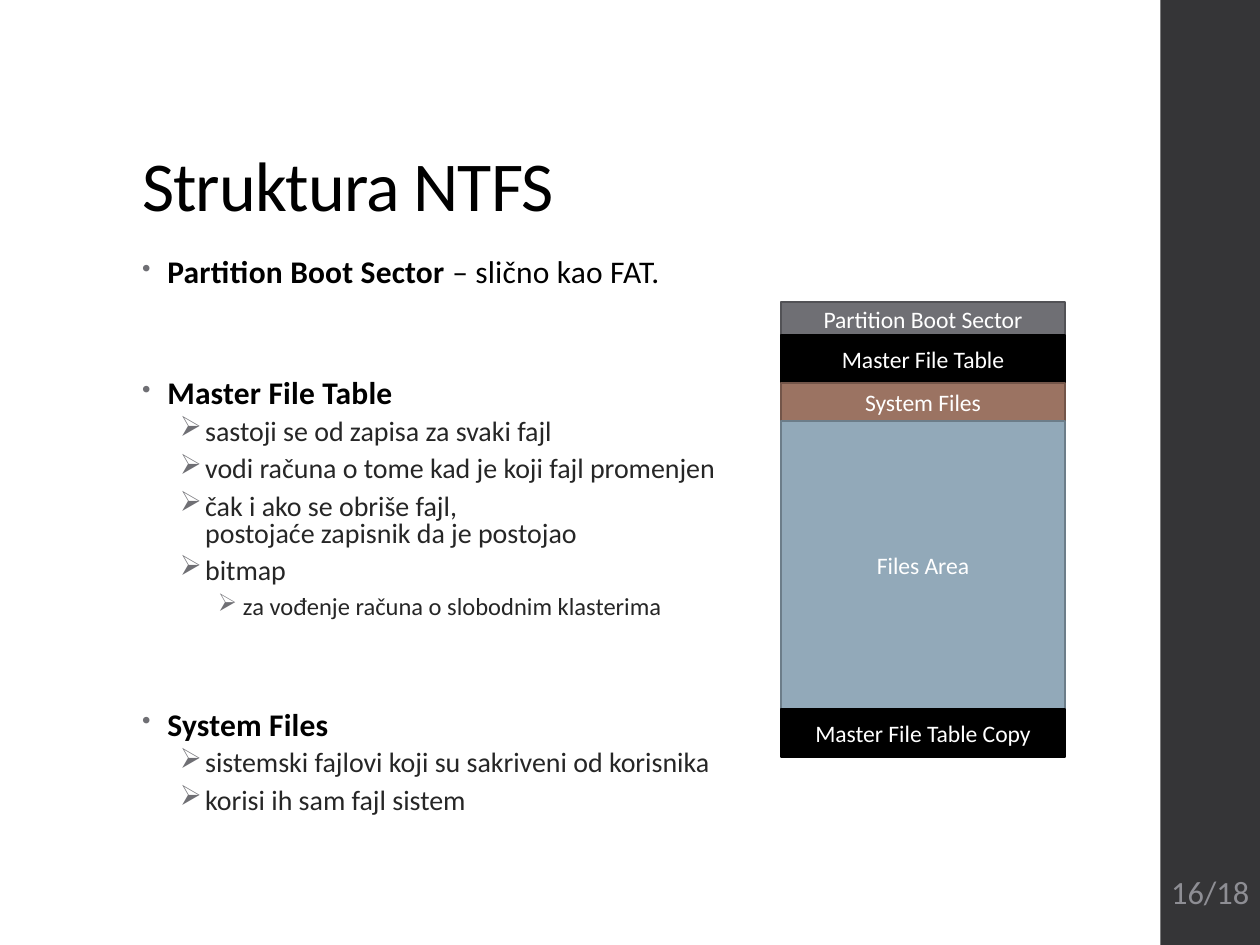
from lxml.etree import SubElement
from pptx import Presentation
from pptx.dml.color import RGBColor
from pptx.enum.shapes import MSO_SHAPE
from pptx.enum.text import MSO_ANCHOR, PP_ALIGN
from pptx.oxml.ns import qn
from pptx.util import Inches, Pt

FONT = "Calibri"
BLACK = RGBColor(0x00, 0x00, 0x00)
WHITE = RGBColor(0xFF, 0xFF, 0xFF)
DARK = RGBColor(0x26, 0x26, 0x26)
SIDEBAR = RGBColor(0x35, 0x35, 0x37)
GRAY = RGBColor(0x6F, 0x6F, 0x74)
GRAY_EDGE = RGBColor(0x52, 0x52, 0x56)
PALE = RGBColor(0x8E, 0x8E, 0x94)
BROWN = RGBColor(0x9B, 0x73, 0x62)
BROWN_EDGE = RGBColor(0x73, 0x55, 0x49)
BLUE = RGBColor(0x92, 0xA9, 0xB9)
BLUE_EDGE = RGBColor(0x6C, 0x7D, 0x89)

COLUMNS, ROWS = 100, 75

# Per outline level: text indent, size, colour, line spacing, space before/after, bullet, bullet %
LEVELS = [
    dict(indent=0.2, size=18, color=BLACK, line=0.85, before=14, after=2, bullet="•", scale=80, spacing=0.1),
    dict(indent=0.5, size=16, color=DARK, line=0.8, before=3, after=3, bullet="➢", scale=100, spacing=0),
    dict(indent=0.8, size=14, color=DARK, line=0.8, before=3, after=3, bullet="➢", scale=100, spacing=0),
]
HANGING = 0.2
SECTION_GAP = 48.7

# Level, bold text, regular text, space before when it differs from the level's
OUTLINE = [
    (0, "Partition Boot Sector ", "– slično kao FAT.", None),
    (0, "Master File Table", "", SECTION_GAP),
    (1, "", "sastoji se od zapisa za svaki fajl", None),
    (1, "", "vodi računa o tome kad je koji fajl promenjen", None),
    (1, "", "čak i ako se obriše fajl, \npostojaće zapisnik da je postojao", None),
    (1, "", "bitmap", None),
    (2, "", "za vođenje računa o slobodnim klasterima", None),
    (0, "System Files", "", SECTION_GAP),
    (1, "", "sistemski fajlovi koji su sakriveni od korisnika", None),
    (1, "", "korisi ih sam fajl sistem", None),
]

# Label, height in rows, fill, edge
VOLUME_PARTS = [
    ("Partition Boot Sector", 2.6, GRAY, GRAY_EDGE),
    ("Master File Table", 3.8, BLACK, BLACK),
    ("System Files", 3, BROWN, BROWN_EDGE),
    ("Files Area", 22.9, BLUE, BLUE_EDGE),
    ("Master File Table Copy", 3.8, BLACK, BLACK),
]


def write(para, text, size=18, color=BLACK, bold=False, spacing=0):
    """Add text to a paragraph; a newline becomes a line break."""
    for number, line in enumerate(text.split("\n")):
        if number:
            para.add_line_break()
        span = para.add_run()
        span.text = line
        span.font.name = FONT
        span.font.size = Pt(size)
        span.font.bold = bold
        span.font.color.rgb = color
        if spacing:
            span.font._element.set("spc", str(round(spacing * 100)))


class SlideBuilder:
    def __init__(self, deck):
        self.column = deck.slide_width / COLUMNS
        self.row = deck.slide_height / ROWS
        self.page = deck.slides.add_slide(deck.slide_layouts[6])
        background = self.page.background.fill
        background.solid()
        background.fore_color.rgb = WHITE

    def place(self, left, top, width, height):
        return (round(left * self.column), round(top * self.row),
                round(width * self.column), round(height * self.row))

    def text_box(self, *area, anchor=MSO_ANCHOR.TOP):
        frame = self.page.shapes.add_textbox(*self.place(*area)).text_frame
        frame.word_wrap = True
        frame.vertical_anchor = anchor
        return frame

    def rectangle(self, *area, fill, edge=None, label=""):
        box = self.page.shapes.add_shape(MSO_SHAPE.RECTANGLE, *self.place(*area))
        box.shadow.inherit = False
        box.fill.solid()
        box.fill.fore_color.rgb = fill
        if edge is None:
            box.line.fill.background()
        else:
            box.line.color.rgb = edge
            box.line.width = Pt(1.1)
        if label:
            box.text_frame.vertical_anchor = MSO_ANCHOR.MIDDLE
            para = box.text_frame.paragraphs[0]
            para.alignment = PP_ALIGN.CENTER
            write(para, label, size=13.5, color=WHITE)

    def outline(self, *area, items):
        frame = self.text_box(*area)
        for number, (level, strong, plain, gap) in enumerate(items):
            para = frame.paragraphs[0] if number == 0 else frame.add_paragraph()
            style = LEVELS[level]
            para.level = level
            para.line_spacing = style["line"]
            para.space_before = Pt(gap or style["before"])
            para.space_after = Pt(style["after"])
            self.bullet(para, style)
            for text, bold in ((strong, True), (plain, False)):
                if text:
                    write(para, text, style["size"], style["color"], bold, style["spacing"])

    def bullet(self, para, style):
        properties = para._p.get_or_add_pPr()
        properties.set("marL", str(Inches(style["indent"])))
        properties.set("indent", str(-Inches(HANGING)))
        color = SubElement(properties, qn("a:buClr"))
        SubElement(color, qn("a:srgbClr"), val=str(GRAY))
        SubElement(properties, qn("a:buSzPct"), val=str(style["scale"] * 1000))
        SubElement(properties, qn("a:buChar"), char=style["bullet"])


def main():
    deck = Presentation()
    deck.slide_width, deck.slide_height = Inches(10), Inches(7.5)
    slide = SlideBuilder(deck)

    # Sidebar
    slide.rectangle(92.1, 0, 7.9, ROWS, fill=SIDEBAR)

    # Title
    title = slide.text_box(10.3, 4, 79.5, 14.5, anchor=MSO_ANCHOR.BOTTOM).paragraphs[0]
    title.line_spacing = 0.9
    write(title, "Struktura NTFS", size=40, spacing=-0.5)

    # Outline
    slide.outline(10.3, 20, 70.5, 47.6, items=OUTLINE)

    # Page number
    frame = slide.text_box(92.3, 67.5, 7.5, 6.5, anchor=MSO_ANCHOR.MIDDLE)
    frame.margin_left = frame.margin_right = Inches(0.03)
    frame.paragraphs[0].alignment = PP_ALIGN.CENTER
    write(frame.paragraphs[0], "16/18", size=18.5, color=PALE)

    # Volume layout, stacked from the top down
    top = 24
    for label, height, fill, edge in VOLUME_PARTS:
        slide.rectangle(62, top, 22.5, height, fill=fill, edge=edge, label=label)
        top += height

    deck.save("out.pptx")


if __name__ == "__main__":
    main()
